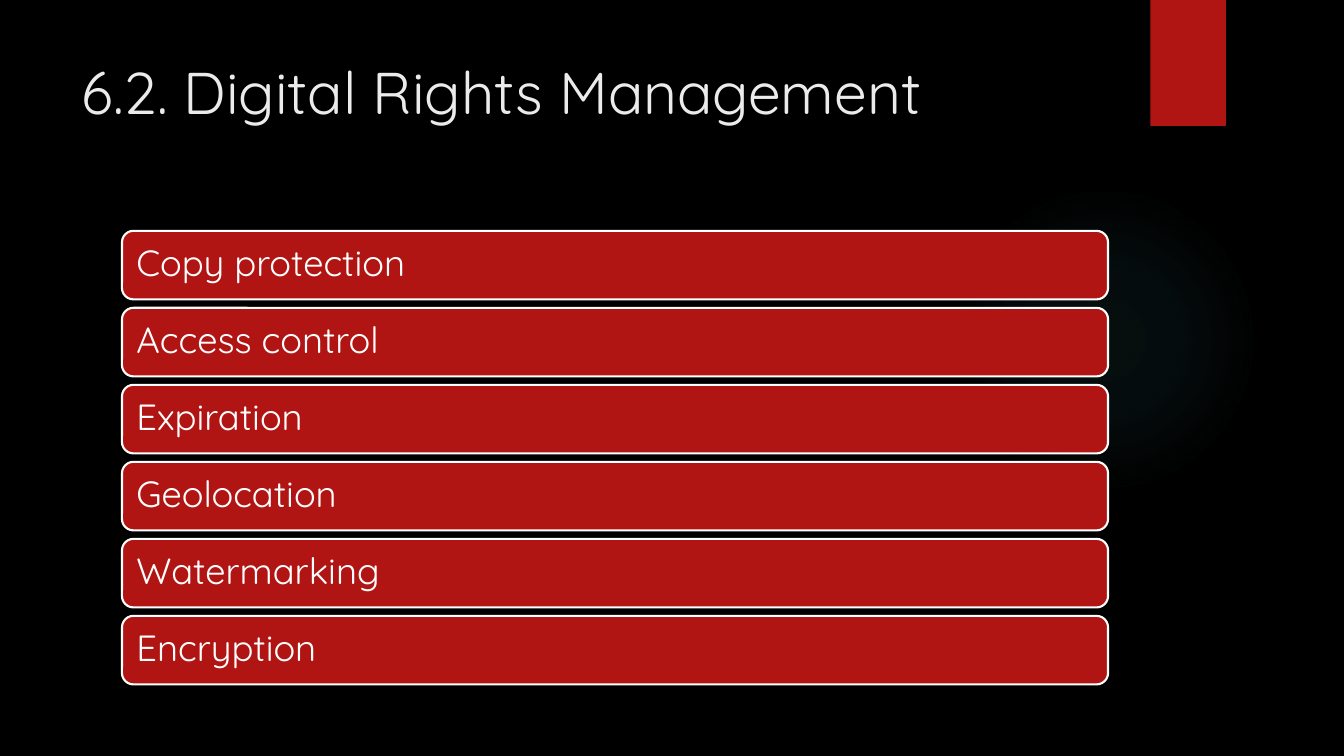
import pptx
import pptx.util
import pptx.oxml
import pptx.oxml.ns
import pptx.dml.color
import pptx.enum.shapes
import pptx.enum.text

Inches = pptx.util.Inches
Pt = pptx.util.Pt
SHAPES = pptx.enum.shapes.MSO_SHAPE
ANCHOR = pptx.enum.text.MSO_ANCHOR
COLORS = {"background": "000000", "red": "B01513", "title": "EBEBEB",
          "white": "FFFFFF", "glow": "50B9C1"}
FONT = "Quicksand"


def color(name):
    return pptx.dml.color.RGBColor.from_string(COLORS[name])


def write(frame, text, size, color_name, format_values):
    frame.text = text
    for attribute, value in format_values.items():
        setattr(frame, attribute, value)
    paragraph = frame.paragraphs[0]
    paragraph.alignment = pptx.enum.text.PP_ALIGN.LEFT
    font = paragraph.runs[0].font
    font.name, font.size = FONT, Pt(size)
    font.color.rgb = color(color_name)
    return paragraph


presentation = pptx.Presentation()
presentation.slide_width = Inches(13.33)
presentation.slide_height = Inches(7.5)
slide = presentation.slides.add_slide(presentation.slide_layouts[5])
slide.background.fill.solid()
slide.background.fill.fore_color.rgb = color("background")

# Soft glow: a radial gradient fading to transparent
glow = slide.shapes.add_shape(SHAPES.OVAL, Inches(9.41), Inches(1.83), Inches(3.08), Inches(3.08))
glow.shadow.inherit = False
glow.line.fill.background()
stops = "".join(
    f'<a:gs pos="{position * 1000}"><a:srgbClr val="{COLORS["glow"]}">'
    f'<a:alpha val="{opacity * 1000}"/></a:srgbClr></a:gs>'
    for position, opacity in [(0, 7), (36, 6), (69, 0)])
gradient = pptx.oxml.parse_xml(
    f'<a:gradFill {pptx.oxml.ns.nsdecls("a")} rotWithShape="1"><a:gsLst>{stops}</a:gsLst>'
    '<a:path path="circle"><a:fillToRect l="50000" t="50000" r="50000" b="50000"/></a:path>'
    '</a:gradFill>')
glow.element.spPr.find(pptx.oxml.ns.qn("a:prstGeom")).addnext(gradient)

# Red bookmark at the top edge
bookmark = slide.shapes.add_shape(SHAPES.RECTANGLE, Inches(11.41), 0, Inches(0.75), Inches(1.25))
bookmark.shadow.inherit = False
bookmark.fill.solid()
bookmark.fill.fore_color.rgb = color("red")
bookmark.line.fill.background()

# Title
title = slide.shapes.title
title.left, title.top, title.width, title.height = map(Inches, (0.71, 0.5, 10.29, 1.53))
write(title.text_frame, "6.2. Digital Rights Management", 42, "title",
      {"vertical_anchor": ANCHOR.TOP, "word_wrap": True,
       "auto_size": pptx.enum.text.MSO_AUTO_SIZE.NONE})

# Stack of protection techniques
TECHNIQUES = ["Copy protection", "Access control", "Expiration",
              "Geolocation", "Watermarking", "Encryption"]
FIRST_TOP, LAST_TOP = 2.29, 6.11
row_step = (LAST_TOP - FIRST_TOP) / (len(TECHNIQUES) - 1)
sides = ("left", "top", "right", "bottom")
bar_format = {f"margin_{side}": Inches(0.11) for side in sides}
bar_format |= {"vertical_anchor": ANCHOR.MIDDLE, "word_wrap": True}

for row, technique in enumerate(TECHNIQUES):
    bar = slide.shapes.add_shape(SHAPES.ROUNDED_RECTANGLE, Inches(1.21),
                                 Inches(FIRST_TOP + row * row_step), Inches(9.78), Inches(0.68))
    bar.shadow.inherit = False
    bar.fill.solid()
    bar.fill.fore_color.rgb = color("red")
    bar.line.color.rgb = color("white")
    bar.line.width = Pt(1.5)
    write(bar.text_frame, technique, 26, "white", bar_format).line_spacing = 0.9

presentation.save("out.pptx")
